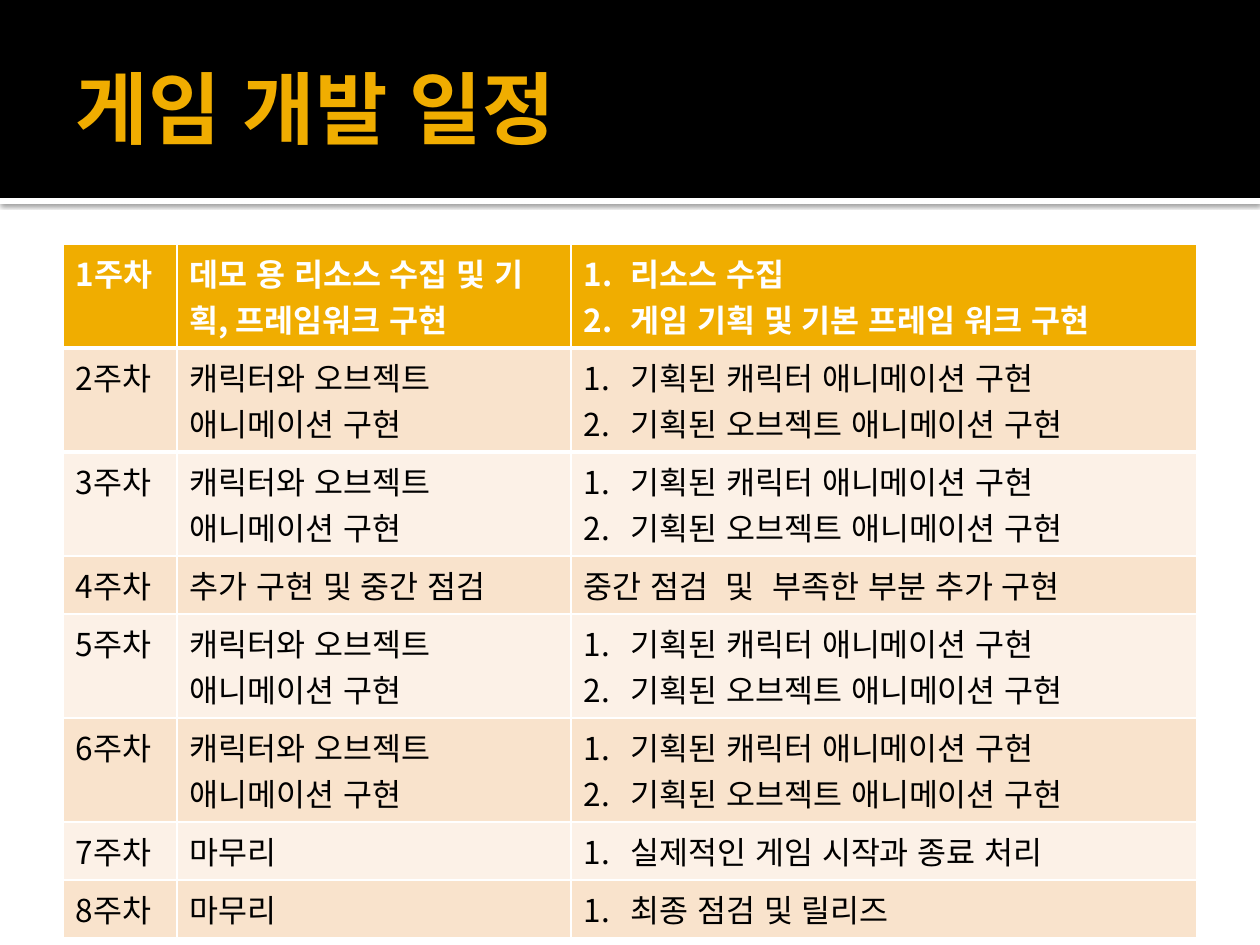
from dataclasses import dataclass

from lxml.etree import SubElement
from pptx import Presentation
from pptx.dml.color import RGBColor
from pptx.enum.lang import MSO_LANGUAGE_ID
from pptx.enum.shapes import MSO_SHAPE
from pptx.enum.text import MSO_ANCHOR
from pptx.oxml.ns import qn
from pptx.shapes.autoshape import Shape
from pptx.slide import Slide
from pptx.table import _Cell
from pptx.text.text import _Paragraph
from pptx.util import Emu, Pt

PIXELS_PER_INCH = 126


@dataclass(frozen=True)
class Theme:
    font: str = "Noto Sans CJK KR"
    title_size: int = 45
    table_size: int = 18
    accent: str = "F0AD00"
    band: str = "000000"
    text: str = "000000"
    white: str = "FFFFFF"
    row_fills: tuple[str, str] = ("FCF1E7", "F9E3CC")


@dataclass(frozen=True)
class Box:
    left: int
    top: int
    width: int
    height: int

    def emu(self) -> tuple[Emu, Emu, Emu, Emu]:
        return px(self.left), px(self.top), px(self.width), px(self.height)


@dataclass(frozen=True)
class Week:
    topic: str
    tasks: tuple[str, ...]
    numbered: bool = True
    lines: int = 2


THEME = Theme()
SLIDE_SIZE = (1260, 945)
BAND = Box(0, 0, 1260, 198)
STRIP = Box(0, 198, 1260, 6)
TITLE = Box(63, 21, 1134, 173)
TABLE_LEFT, TABLE_TOP = 63, 244
COLUMN_WIDTHS = (114, 394, 626)
LINE_HEIGHT = 46
CELL_PADDING = 12
LIST_INDENT = 47

ANIMATION = Week(
    "캐릭터와 오브젝트 애니메이션 구현",
    ("기획된 캐릭터 애니메이션 구현", "기획된 오브젝트 애니메이션 구현"),
)
WEEKS = (
    Week(
        "데모 용 리소스 수집 및 기획, 프레임워크 구현",
        ("리소스 수집", "게임 기획 및 기본 프레임 워크 구현"),
    ),
    ANIMATION,
    ANIMATION,
    Week("추가 구현 및 중간 점검", ("중간 점검  및  부족한 부분 추가 구현",), numbered=False, lines=1),
    ANIMATION,
    ANIMATION,
    Week("마무리", ("실제적인 게임 시작과 종료 처리",), lines=1),
    Week("마무리", ("최종 점검 및 릴리즈",), lines=1),
)


def px(length: int) -> Emu:
    return Emu(round(length * 914400 / PIXELS_PER_INCH))


def style_paragraph(paragraph: _Paragraph, size: int, color: str, bold: bool) -> None:
    font = paragraph.font
    font.size = Pt(size)
    font.bold = bold
    font.color.rgb = RGBColor.from_string(color)
    font.name = THEME.font
    font.language_id = MSO_LANGUAGE_ID.KOREAN


def number_paragraph(paragraph: _Paragraph) -> None:
    """Give the paragraph an automatic number and a hanging indent."""
    properties = paragraph._p.get_or_add_pPr()
    properties.set("marL", str(px(LIST_INDENT)))
    properties.set("indent", str(-px(LIST_INDENT)))
    SubElement(properties, qn("a:buFont"), typeface="+mj-lt")
    SubElement(properties, qn("a:buAutoNum"), type="arabicPeriod")


def add_bar(slide: Slide, box: Box, color: str) -> Shape:
    shape = slide.shapes.add_shape(MSO_SHAPE.RECTANGLE, *box.emu())
    shape.shadow.inherit = False
    shape.fill.solid()
    shape.fill.fore_color.rgb = RGBColor.from_string(color)
    shape.line.fill.background()
    return shape


def add_drop_shadow(shape: Shape) -> None:
    effects = shape._element.spPr.find(qn("a:effectLst"))
    shadow = SubElement(
        effects,
        qn("a:outerShdw"),
        blurRad=str(Pt(2.5)),
        dist=str(Pt(0.8)),
        dir=str(90 * 60000),
        algn="tl",
        rotWithShape="0",
    )
    color = SubElement(shadow, qn("a:srgbClr"), val="000000")
    SubElement(color, qn("a:alpha"), val="60000")


def add_title(slide: Slide, text: str) -> None:
    frame = slide.shapes.add_textbox(*TITLE.emu()).text_frame
    frame.word_wrap = True
    frame.vertical_anchor = MSO_ANCHOR.MIDDLE
    frame.margin_left = px(13)
    frame.margin_right = frame.margin_top = frame.margin_bottom = px(6)
    paragraph = frame.paragraphs[0]
    paragraph.text = text
    style_paragraph(paragraph, THEME.title_size, THEME.accent, bold=True)


def add_border(cell: _Cell, side: str, points: int) -> None:
    properties = cell._tc.get_or_add_tcPr()
    line = SubElement(properties, qn(f"a:{side}"), w=str(Pt(points)))
    fill = SubElement(line, qn("a:solidFill"))
    SubElement(fill, qn("a:srgbClr"), val=THEME.white)


def fill_cell(cell: _Cell, lines: tuple[str, ...], row: int, numbered: bool = False) -> None:
    is_header = row == 0
    if row < 2:
        add_border(cell, "lnB" if is_header else "lnT", 3)
    cell.fill.solid()
    fill = THEME.accent if is_header else THEME.row_fills[row % 2]
    cell.fill.fore_color.rgb = RGBColor.from_string(fill)
    frame = cell.text_frame
    for index, line in enumerate(lines):
        paragraph = frame.add_paragraph() if index else frame.paragraphs[0]
        paragraph.text = line
        if numbered:
            number_paragraph(paragraph)
        color = THEME.white if is_header else THEME.text
        style_paragraph(paragraph, THEME.table_size, color, bold=is_header)


def add_schedule(slide: Slide, weeks: tuple[Week, ...]) -> None:
    heights = [CELL_PADDING + LINE_HEIGHT * week.lines for week in weeks]
    box = Box(TABLE_LEFT, TABLE_TOP, sum(COLUMN_WIDTHS), sum(heights))
    table = slide.shapes.add_table(len(weeks), len(COLUMN_WIDTHS), *box.emu()).table
    for column, width in zip(table.columns, COLUMN_WIDTHS):
        column.width = px(width)
    for row, (week, height) in enumerate(zip(weeks, heights)):
        table.rows[row].height = px(height)
        fill_cell(table.cell(row, 0), (f"{row + 1}주차",), row)
        fill_cell(table.cell(row, 1), (week.topic,), row)
        fill_cell(table.cell(row, 2), week.tasks, row, week.numbered)


def main() -> None:
    presentation = Presentation()
    presentation.slide_width, presentation.slide_height = map(px, SLIDE_SIZE)
    slide = presentation.slides.add_slide(presentation.slide_layouts[6])
    add_drop_shadow(add_bar(slide, STRIP, THEME.white))
    add_bar(slide, BAND, THEME.band)
    add_title(slide, "게임 개발 일정")
    add_schedule(slide, WEEKS)
    presentation.save("out.pptx")


if __name__ == "__main__":
    main()
